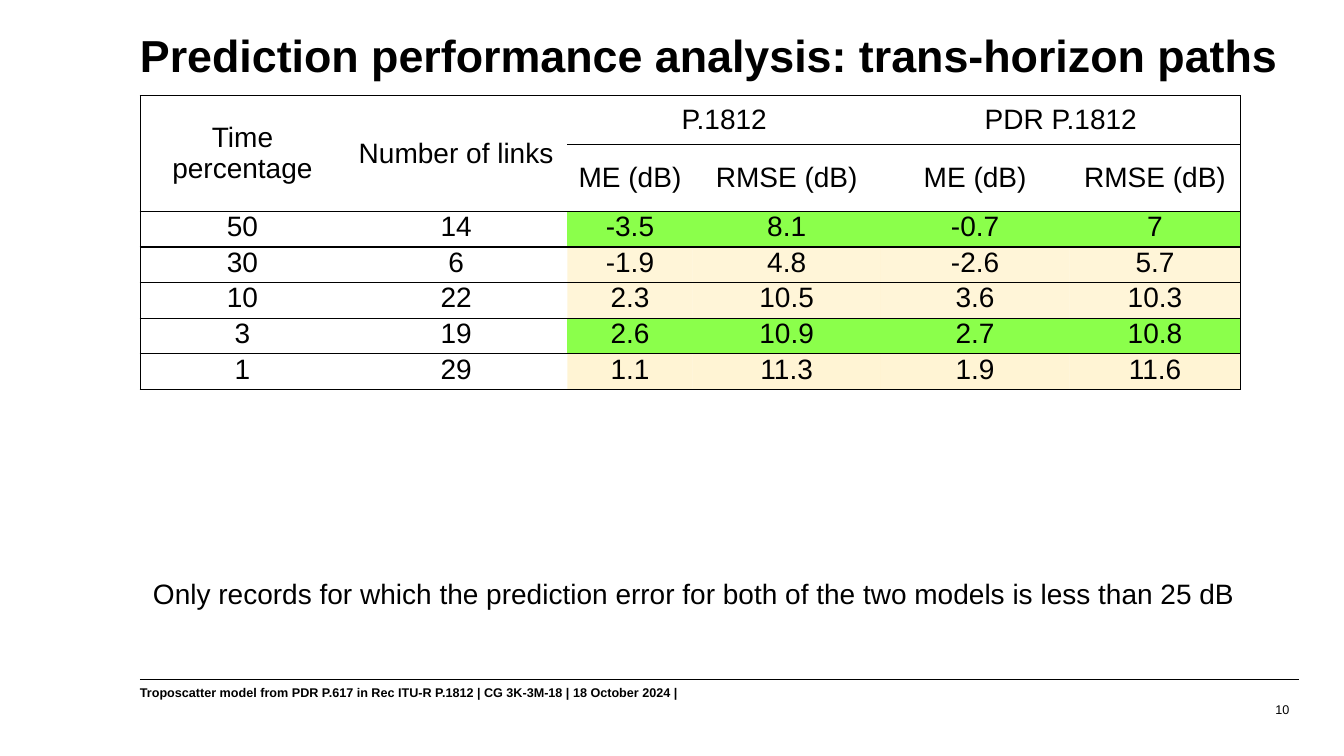
from lxml import etree
from pptx import Presentation
from pptx.dml.color import RGBColor
from pptx.enum.shapes import MSO_CONNECTOR
from pptx.enum.text import MSO_ANCHOR, PP_ALIGN
from pptx.oxml.ns import qn
from pptx.util import Pt

LEFT, CENTER, RIGHT = PP_ALIGN.LEFT, PP_ALIGN.CENTER, PP_ALIGN.RIGHT
TOP, MIDDLE, BOTTOM = MSO_ANCHOR.TOP, MSO_ANCHOR.MIDDLE, MSO_ANCHOR.BOTTOM
STRAIGHT = MSO_CONNECTOR.STRAIGHT
BLACK, WHITE, GREEN, CREAM = "000000", "FFFFFF", "8BFF4B", "FFEBAB"
NO_GRID_STYLE = "{2D5ABB26-0587-4C30-8999-92F81FD0307C}"


def color(hex_string):
    return RGBColor.from_string(hex_string)


def write(text_frame, text, size, bold=False, align=LEFT, anchor=TOP):
    text_frame.text = text
    text_frame.vertical_anchor = anchor
    paragraph = text_frame.paragraphs[0]
    paragraph.alignment = align
    font = paragraph.runs[0].font
    font.name, font.size, font.bold = "Arial", Pt(size), bold
    font.color.rgb = color(BLACK)
    return paragraph


presentation = Presentation()
presentation.slide_width, presentation.slide_height = Pt(960), Pt(540)
slide = presentation.slides.add_slide(presentation.slide_layouts[6])

# Footer rule
rule = slide.shapes.add_connector(STRAIGHT, Pt(100), Pt(485.3), Pt(928), Pt(485.3))
rule.line.color.rgb = color(BLACK)
rule.line.width = Pt(0.5)
etree.SubElement(rule.element.spPr, qn("a:effectLst"))

# Title, note, footer and page number
texts = [
    ("Prediction performance analysis: trans-horizon paths",
     (92.9, 20.9, 835.2, 69.1), 32, True, LEFT, TOP, True),
    ("Only records for which the prediction error for both of the two models is less than 25 dB",
     (102.2, 408.2, 797.8, 31.7), 20, False, LEFT, TOP, False),
    ("Troposcatter model from PDR P.617 in Rec ITU-R P.1812 | CG 3K-3M-18 | 18 October 2024 |",
     (92.9, 486, 542.2, 18), 9, True, LEFT, TOP, True),
    ("10", (717.8, 486.7, 210.2, 28.8), 9, False, RIGHT, BOTTOM, True),
]
for text, box, size, bold, align, anchor, wrap in texts:
    shape = slide.shapes.add_textbox(*[Pt(length) for length in box])
    shape.text_frame.word_wrap = wrap
    paragraph = write(shape.text_frame, text, size, bold, align, anchor)
    if size == 32:
        paragraph.line_spacing = 0.9

# Results table
rows = [
    ["Time percentage", "Number of links", "P.1812", "", "PDR P.1812", ""],
    ["", "", "ME (dB)", "RMSE (dB)", "ME (dB)", "RMSE (dB)"],
    ["50", "14", "-3.5", "8.1", "-0.7", "7"],
    ["30", "6", "-1.9", "4.8", "-2.6", "5.7"],
    ["10", "22", "2.3", "10.5", "3.6", "10.3"],
    ["3", "19", "2.6", "10.9", "2.7", "10.8"],
    ["1", "29", "1.1", "11.3", "1.9", "11.6"],
]
row_fills = [WHITE, WHITE, GREEN, CREAM, CREAM, GREEN, CREAM]
column_widths = [146.2, 159.1, 89.3, 134.6, 134.6, 122.4]
row_heights = [34.6] * 2 + [25.4] * 5
frame = slide.shapes.add_table(len(rows), len(column_widths), Pt(100.1), Pt(68.4),
                               Pt(sum(column_widths)), Pt(sum(row_heights)))
table = frame.table
table.first_row = table.horz_banding = False
table._tbl.tblPr.find(qn("a:tableStyleId")).text = NO_GRID_STYLE
for column, width in zip(table.columns, column_widths):
    column.width = Pt(width)
for row, height in zip(table.rows, row_heights):
    row.height = Pt(height)
for first, last in [((0, 0), (1, 0)), ((0, 1), (1, 1)), ((0, 2), (0, 3)), ((0, 4), (0, 5))]:
    table.cell(*first).merge(table.cell(*last))

for row_index, values in enumerate(rows):
    is_header = row_index < 2
    for column_index, value in enumerate(values):
        cell = table.cell(row_index, column_index)
        cell.margin_left = cell.margin_right = Pt(5)
        cell.margin_top = cell.margin_bottom = 0
        cell.vertical_anchor = MIDDLE if is_header else TOP
        if value:
            paragraph = write(cell.text_frame, value, 20, align=CENTER)
            paragraph.space_before = paragraph.space_after = Pt(4 if is_header else 2)

        # Horizontal rules and the outer frame
        sides = {
            "a:lnL": column_index == 0,
            "a:lnR": column_index + cell.span_width == len(values),
            "a:lnT": not cell.is_spanned,
            "a:lnB": True,
        }
        properties = cell._tc.get_or_add_tcPr()
        for side, is_drawn in sides.items():
            if is_drawn:
                border = etree.SubElement(properties, qn(side), w=str(Pt(1)))
                solid = etree.SubElement(border, qn("a:solidFill"))
                etree.SubElement(solid, qn("a:srgbClr"), val=BLACK)

        # Row colour, from the third column on
        fill = row_fills[row_index] if column_index > 1 else WHITE
        cell.fill.solid()
        cell.fill.fore_color.rgb = color(fill)
        if fill == CREAM:
            opacity = 50 if row_index == len(rows) - 1 else 46
            tint = properties.find(qn("a:solidFill")).find(qn("a:srgbClr"))
            etree.SubElement(tint, qn("a:alpha"), val=str(opacity * 1000))

presentation.save("out.pptx")
